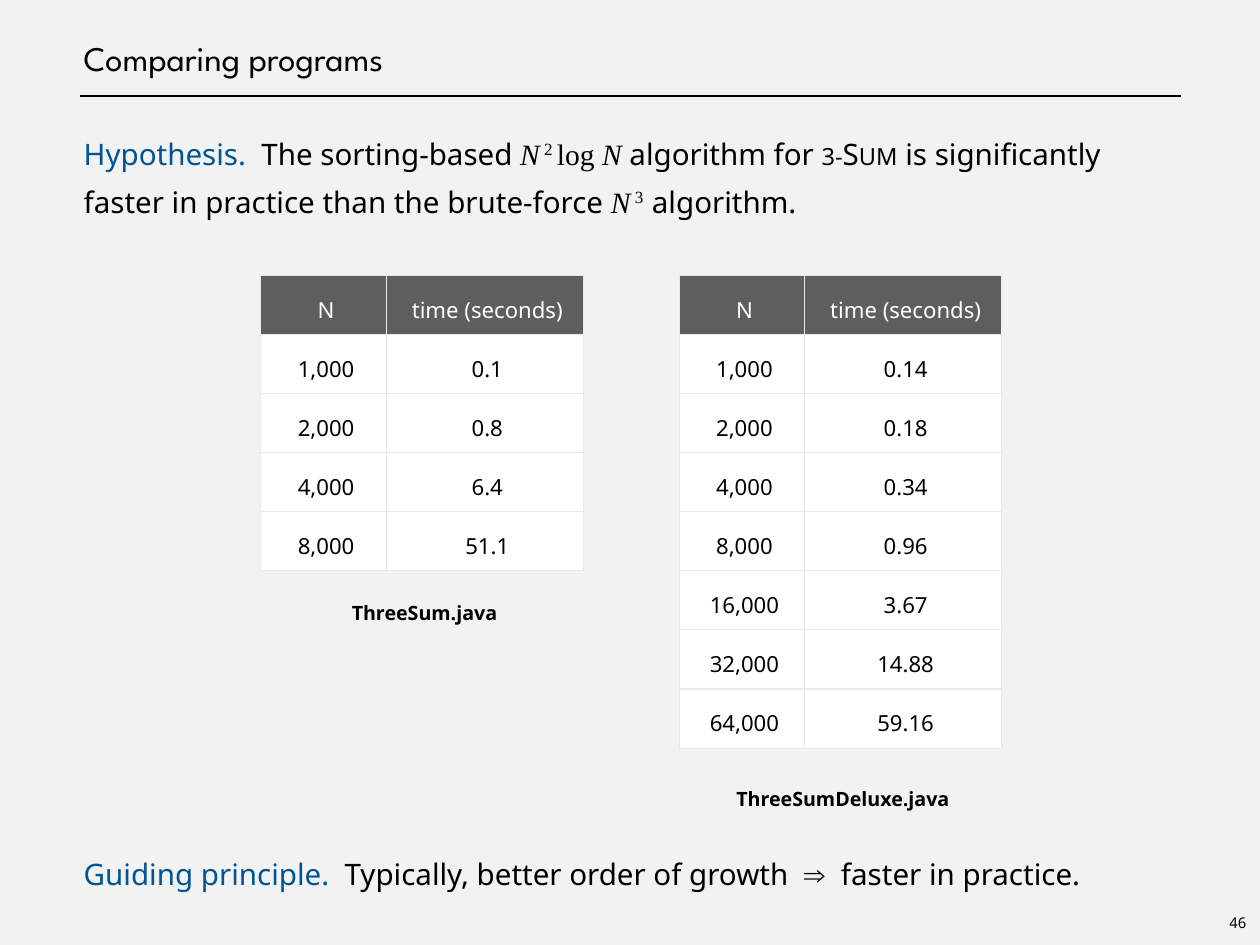
from lxml import etree
from pptx import Presentation
from pptx import util as u
from pptx.dml import color
from pptx.enum import shapes, text
from pptx.oxml import ns

Pt = u.Pt
HUES = {"black": "000000", "white": "FFFFFF", "blue": "005493",
        "head": "5E5E5E", "rule": "E7EAEB", "back": "F2F2F2"}
SANS = {"name": "Noto Sans", "size": Pt(24)}
MATH = {"name": "Times New Roman", "size": Pt(24)}
SLANT = {**MATH, "italic": True}
POWER = {**MATH, "raise": "32000"}
SMALL = {**SANS, "caps": "small"}
LEAD = {**SANS, "hue": "blue"}
CELL = {**SANS, "size": Pt(18)}
LABEL = {**SANS, "size": Pt(16), "bold": True}
MARKS = {"raise": "baseline", "caps": "cap"}
PAD = 4
LINE = 39
ROW = 48
WIDTHS = (102, 160)
TOP = 224

CLAIM = [("Hypothesis.  ", LEAD), ("The sorting-based ", SANS),
         ("N", SLANT), (" 2 ", POWER), ("log", MATH), (" N", SLANT),
         (" algorithm for ", SANS), ("3-Sum", SMALL),
         (" is significantly faster in practice than the brute-force ", SANS),
         ("N", SLANT), (" 3  ", POWER), ("algorithm.", SANS)]
GUIDE = [("Guiding principle.  ", LEAD),
         ("Typically, better order of growth  ", SANS),
         ("⇒ ", {**SANS, "name": "Arial"}), (" faster in practice.", SANS)]
HEAD = ("N", "time (seconds)")
BRUTE = [HEAD, ("1,000", "0.1"), ("2,000", "0.8"),
         ("4,000", "6.4"), ("8,000", "51.1")]
SORTED = [HEAD, ("1,000", "0.14"), ("2,000", "0.18"), ("4,000", "0.34"),
          ("8,000", "0.96"), ("16,000", "3.67"), ("32,000", "14.88"),
          ("64,000", "59.16")]


def paint(fill, hue):
    fill.solid()
    fill.fore_color.rgb = color.RGBColor.from_string(HUES[hue])


def apply(item, form):
    for key, value in form.items():
        setattr(item, key, value)


def add_run(para, words, form):
    run = para.add_run()
    run.text = words
    for key, value in form.items():
        if key in MARKS:
            run._r.get_or_add_rPr().set(MARKS[key], value)
        elif key != "hue":
            setattr(run.font, key, value)
    paint(run.font.fill, form.get("hue", "black"))


def write(para, runs, form, dent=PAD):
    props = para._p.get_or_add_pPr()
    props.set("marL", str(Pt(dent)))
    props.set("indent", "0")
    etree.SubElement(props, ns.qn("a:buNone"))
    apply(para, {"space_before": Pt(0), "space_after": Pt(0), **form})
    for words, look in runs:
        add_run(para, words, look)


def place(shape, left, top, width, height):
    apply(shape, {"left": Pt(left), "top": Pt(top),
                  "width": Pt(width), "height": Pt(height)})


def set_frame(frame, pad, **form):
    sides = ("left", "right", "top", "bottom")
    apply(frame, {f"margin_{side}": Pt(pad) for side in sides})
    apply(frame, form)


def fill_holder(shape, box, paras, anchor):
    place(shape, *box)
    frame = shape.text_frame
    set_frame(frame, 0, word_wrap=True, vertical_anchor=anchor,
              auto_size=text.MSO_AUTO_SIZE.NONE)
    for i, (runs, form) in enumerate(paras):
        para = frame.add_paragraph() if i else frame.paragraphs[0]
        write(para, runs, {"alignment": text.PP_ALIGN.LEFT, **form})


def add_text(slide, box, words, look, wrap, space, dent):
    shape = slide.shapes.add_textbox(*map(Pt, box))
    frame = shape.text_frame
    set_frame(frame, PAD, word_wrap=wrap,
              auto_size=text.MSO_AUTO_SIZE.SHAPE_TO_FIT_TEXT)
    write(frame.paragraphs[0], [(words, look)],
          {"alignment": text.PP_ALIGN.CENTER, "line_spacing": space}, dent)


def edge_cell(cell):
    props = cell._tc.get_or_add_tcPr()
    for i, side in enumerate("LRTB"):
        line = etree.Element(ns.qn(f"a:ln{side}"), w=str(Pt(1)))
        fill = etree.SubElement(line, ns.qn("a:solidFill"))
        etree.SubElement(fill, ns.qn("a:srgbClr"), val=HUES["rule"])
        props.insert(i, line)


def add_grid(slide, left, rows):
    frame = slide.shapes.add_table(len(rows), len(WIDTHS), Pt(left), Pt(TOP),
                                   Pt(sum(WIDTHS)), Pt(ROW * len(rows)))
    grid = frame.table
    apply(grid, {"first_row": False, "horz_banding": False})
    for col, width in zip(grid.columns, WIDTHS):
        col.width = Pt(width)
    for r, row in enumerate(rows):
        grid.rows[r].height = Pt(ROW)
        back, ink = ("white", "black") if r else ("head", "white")
        for c, words in enumerate(row):
            cell = grid.cell(r, c)
            set_frame(cell, PAD, vertical_anchor=text.MSO_ANCHOR.MIDDLE)
            paint(cell.fill, back)
            edge_cell(cell)
            write(cell.text_frame.paragraphs[0],
                  [(words, {**CELL, "hue": ink})],
                  {"alignment": text.PP_ALIGN.CENTER, "line_spacing": 1.3})


def add_rule(slide, left, right, top):
    rule = slide.shapes.add_connector(shapes.MSO_CONNECTOR.STRAIGHT,
                                      Pt(left), Pt(top), Pt(right), Pt(top))
    rule.line.width = Pt(1)
    paint(rule.line.fill, "black")
    etree.SubElement(rule._element.spPr, ns.qn("a:effectLst"))


def main():
    deck = Presentation()
    apply(deck, {"slide_width": Pt(1024), "slide_height": Pt(768)})
    slide = deck.slides.add_slide(deck.slide_layouts[1])
    paint(slide.background.fill, "back")

    title = [("Comparing programs", {"name": "League Spartan", "size": Pt(28)})]
    fill_holder(slide.shapes.title, (64, 0, 896, 64), [(title, {})],
                text.MSO_ANCHOR.BOTTOM)
    pitch = {"line_spacing": Pt(LINE)}
    fill_holder(slide.placeholders[1], (64, 100, 896, 640),
                [(CLAIM, pitch),
                 (GUIDE, {**pitch, "space_before": Pt(13 * LINE)})],
                text.MSO_ANCHOR.TOP)
    add_rule(slide, 65, 960, 78)
    add_text(slide, (993.5, 739, 25, 22), "46", {**SANS, "size": Pt(12)},
             False, 1.0, 0)

    for left, rows, name, top in ((552, SORTED, "ThreeSumDeluxe.java", 626),
                                  (212, BRUTE, "ThreeSum.java", 475)):
        add_grid(slide, left, rows)
        add_text(slide, (left, top, sum(WIDTHS), 26), name, LABEL,
                 True, 1.5, PAD)
    deck.save("out.pptx")


if __name__ == "__main__":
    main()
